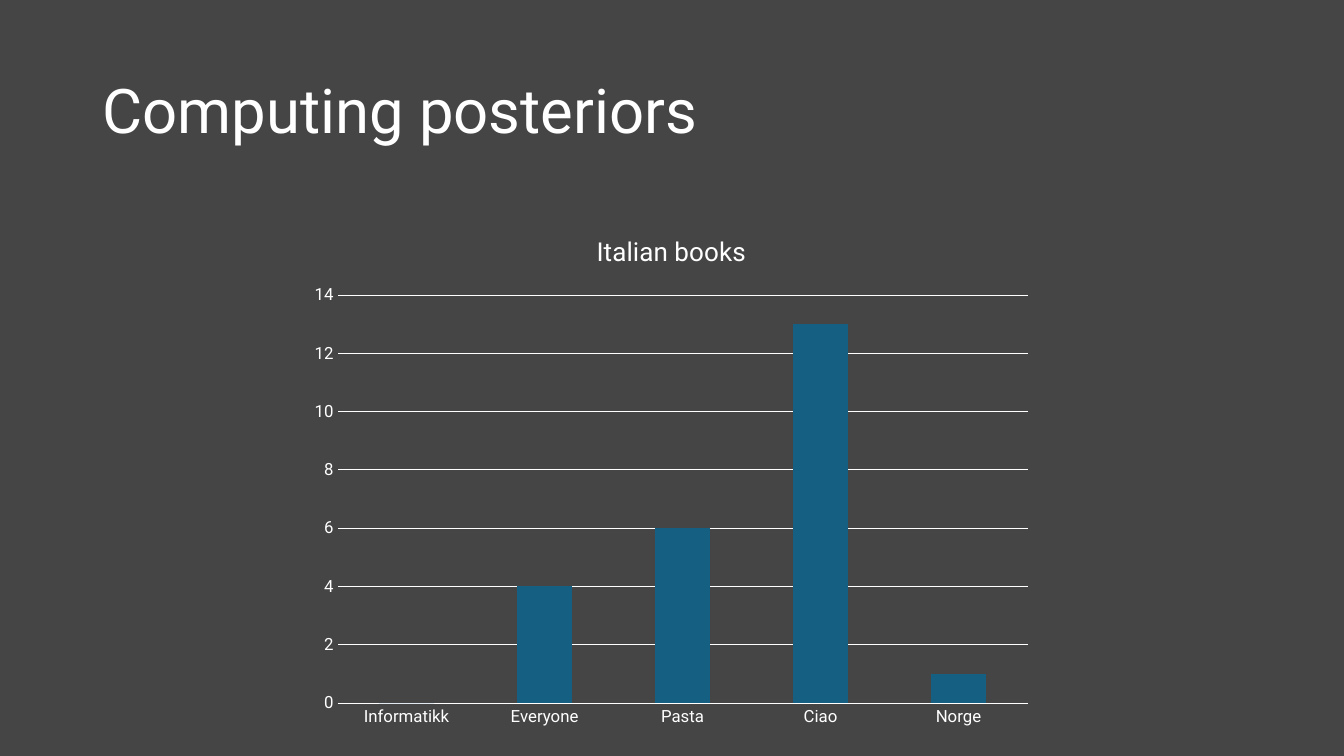
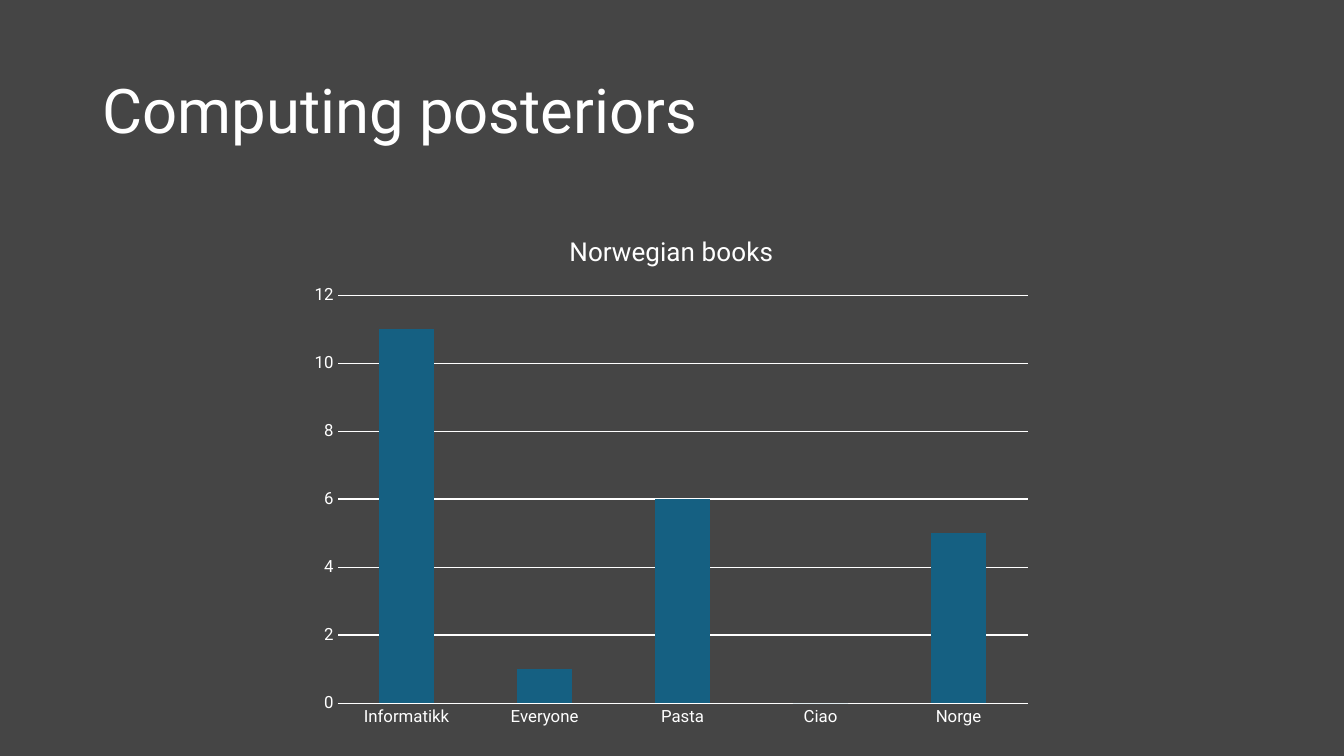
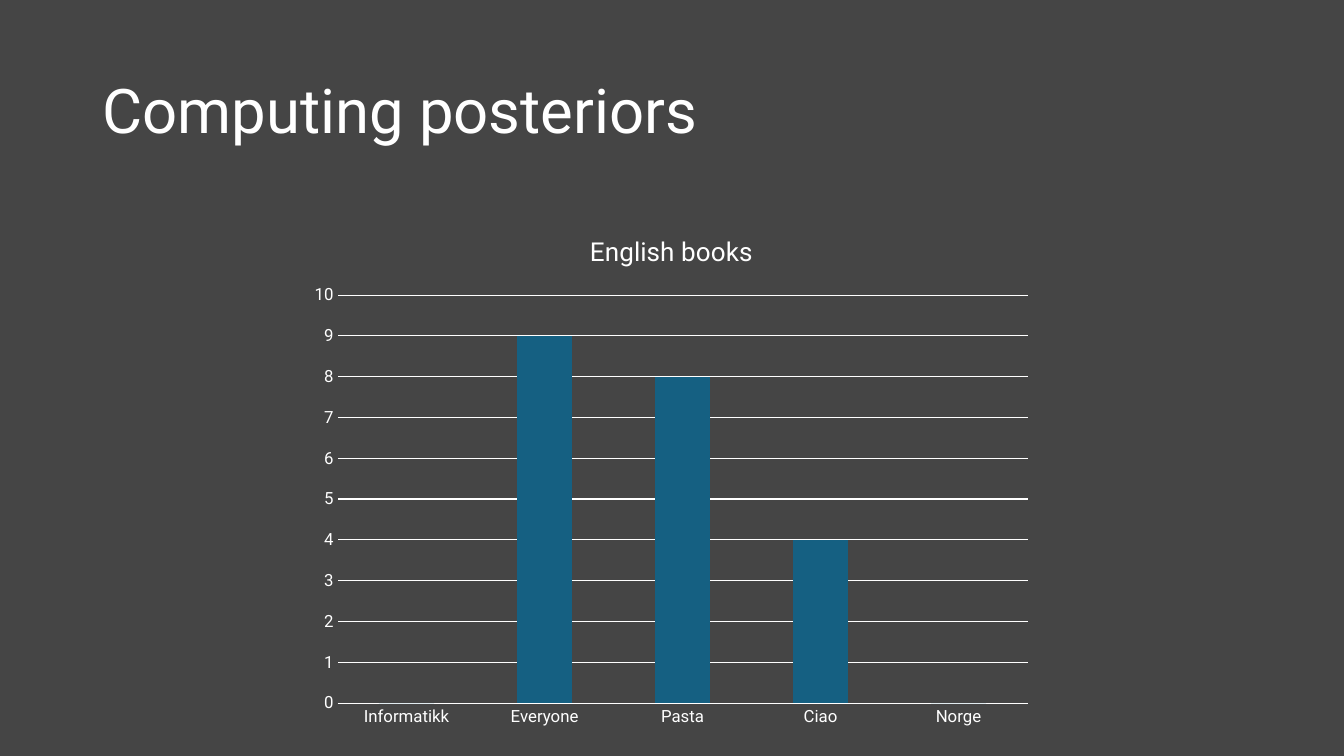
from dataclasses import dataclass

from lxml import etree
from pptx import Presentation
from pptx.chart.data import CategoryChartData
from pptx.dml.color import RGBColor
from pptx.enum.chart import XL_CHART_TYPE, XL_TICK_MARK
from pptx.enum.text import MSO_ANCHOR
from pptx.oxml.ns import qn
from pptx.util import Inches, Pt

HEADING = "Computing posteriors"
WORDS = ["Informatikk", "Everyone", "Pasta", "Ciao", "Norge"]
BOOK_COUNTS = [
    ("Italian books", (0, 4, 6, 13, 1)),
    ("Norwegian books", (11, 1, 6, 0, 5)),
    ("English books", (0, 9, 8, 4, 0)),
]


@dataclass(frozen=True)
class Theme:
    background: RGBColor = RGBColor(0x45, 0x45, 0x45)
    text: RGBColor = RGBColor(0xFF, 0xFF, 0xFF)
    bar: RGBColor = RGBColor(0x15, 0x60, 0x82)
    font: str = "Roboto"
    heading: Pt = Pt(44)
    chart_title: Pt = Pt(18.6)
    axis: Pt = Pt(12)
    chart_text: Pt = Pt(10)
    rule: Pt = Pt(0.75)


THEME = Theme()
SLIDE_SIZE = Inches(13.33), Inches(7.5)
HEADING_AREA = Inches(0.92), Inches(0.4), Inches(11.5), Inches(1.45)
CHART_AREA = Inches(2.98), Inches(2.12), Inches(7.36), Inches(5.21)
PLOT_SHARE = {"x": 0.05, "y": 0.155, "w": 0.93, "h": 0.777}


def style_font(font, size):
    font.name = THEME.font
    font.size = size
    font.bold = False
    font.color.rgb = THEME.text


def style_line(line):
    line.color.rgb = THEME.text
    line.width = THEME.rule


def add_heading(page):
    box = page.shapes.add_textbox(*HEADING_AREA)
    frame = box.text_frame
    frame.word_wrap = True
    frame.vertical_anchor = MSO_ANCHOR.MIDDLE
    para = frame.paragraphs[0]
    para.text = HEADING
    para.line_spacing = 0.9
    style_font(para.font, THEME.heading)


def place_plot(chart):
    plot_area = chart.plots[0]._element.getparent()
    for old in plot_area.findall(qn("c:layout")):
        plot_area.remove(old)
    layout = etree.Element(qn("c:layout"))
    manual = etree.SubElement(layout, qn("c:manualLayout"))
    settings = {"layoutTarget": "inner", "xMode": "edge", "yMode": "edge", **PLOT_SHARE}
    for name, value in settings.items():
        etree.SubElement(manual, qn(f"c:{name}")).set("val", str(value))
    plot_area.insert(0, layout)


def add_book_chart(page, title, counts):
    data = CategoryChartData()
    data.categories = WORDS
    data.add_series("Series 1", counts)
    chart = page.shapes.add_chart(XL_CHART_TYPE.COLUMN_STACKED, *CHART_AREA, data).chart
    style_font(chart.font, THEME.chart_text)
    chart.has_legend = False
    chart.has_title = True
    para = chart.chart_title.text_frame.paragraphs[0]
    para.text = title
    style_font(para.font, THEME.chart_title)
    chart.chart_title.include_in_layout = False

    for axis in (chart.category_axis, chart.value_axis):
        axis.major_tick_mark = axis.minor_tick_mark = XL_TICK_MARK.NONE
        style_font(axis.tick_labels.font, THEME.axis)
    style_line(chart.category_axis.format.line)
    chart.value_axis.format.line.fill.background()
    style_line(chart.value_axis.major_gridlines.format.line)

    plot = chart.plots[0]
    plot.gap_width = 150
    plot.overlap = 100
    plot.vary_by_categories = False
    bar_fill = plot.series[0].format.fill
    bar_fill.solid()
    bar_fill.fore_color.rgb = THEME.bar
    place_plot(chart)


def main():
    deck = Presentation()
    deck.slide_width, deck.slide_height = SLIDE_SIZE
    backdrop = deck.slide_master.background.fill
    backdrop.solid()
    backdrop.fore_color.rgb = THEME.background
    for title, counts in BOOK_COUNTS:
        page = deck.slides.add_slide(deck.slide_layouts[6])
        add_heading(page)
        add_book_chart(page, title, counts)
    deck.save("out.pptx")


if __name__ == "__main__":
    main()
